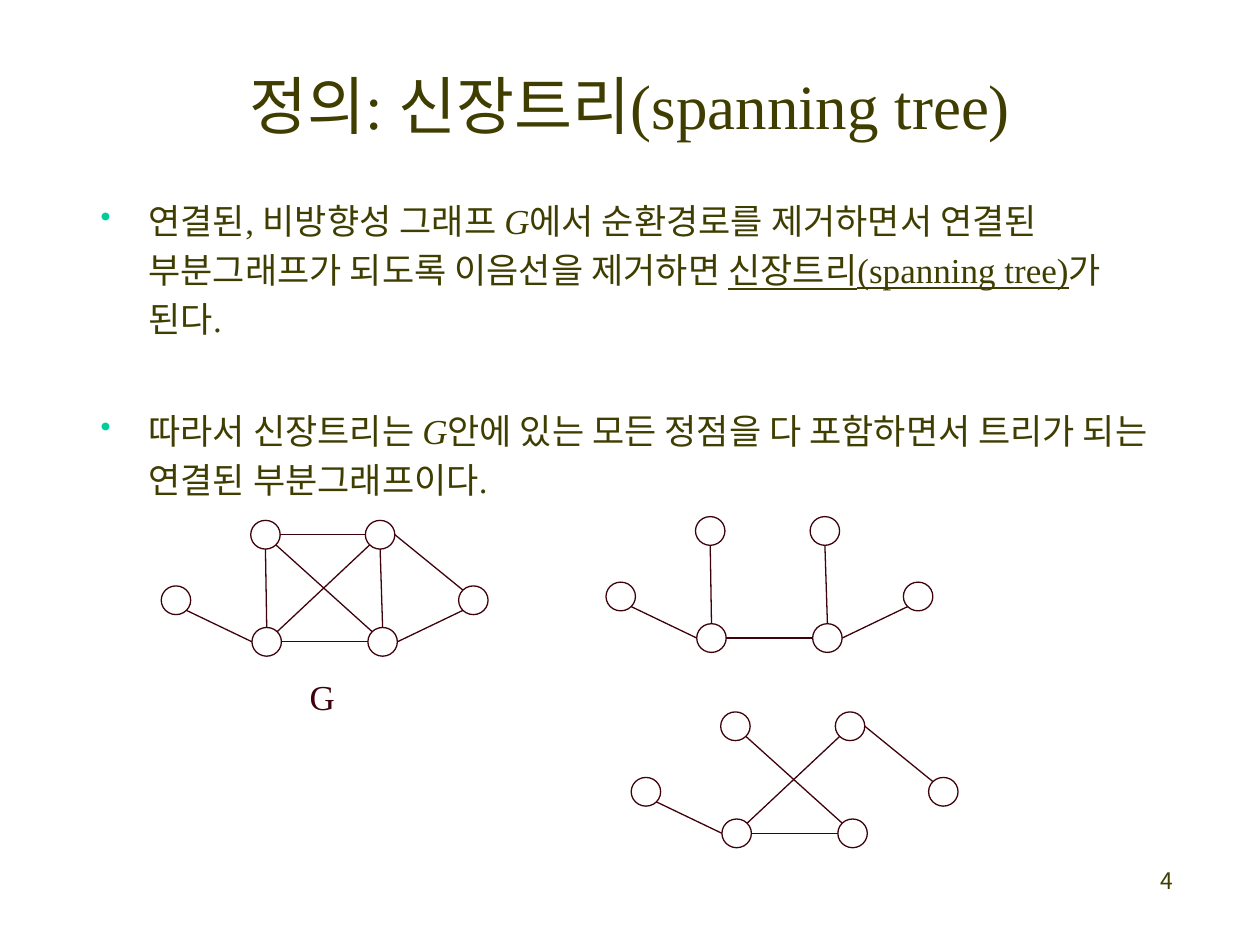
from typing import NamedTuple

from lxml.etree import SubElement
from pptx import Presentation
from pptx.dml.color import RGBColor
from pptx.enum.shapes import MSO_CONNECTOR as Link, MSO_SHAPE as Shape
from pptx.enum.text import MSO_ANCHOR as Anchor, MSO_AUTO_SIZE as Fit, PP_ALIGN as Align
from pptx.oxml.ns import qn
from pptx.util import Inches, Pt

OLIVE = RGBColor(0x3F, 0x3E, 0x00)
MAROON = RGBColor(0x3E, 0x02, 0x0C)
GREEN = RGBColor(0x00, 0xCC, 0x99)
SERIF, KOREAN = "Times New Roman", "Noto Sans CJK KR"

# The slide is a grid of 100 columns by 75 rows
CELL = Inches(0.1)
COLUMNS, ROWS = 100, 75
NODE_WIDTH, NODE_HEIGHT = 2.34, 2.28

# Node corners, in cells from the corner of a graph
NODES = {
    "left": (0, 5.2), "top left": (7.1, 0), "top right": (16.2, 0),
    "bottom left": (7.2, 8.5), "bottom right": (16.4, 8.5), "right": (23.6, 5.2),
}
# Points on a node's rim, as shares of its width and height
RIM = {
    "n": (0.5, 0), "ne": (0.85, 0.15), "e": (1, 0.5), "se": (0.85, 0.85),
    "s": (0.5, 1), "sw": (0.15, 0.85), "w": (0, 0.5), "nw": (0.15, 0.15),
}


class Edge(NamedTuple):
    start: str
    start_rim: str
    end: str
    end_rim: str


class Graph(NamedTuple):
    column: float
    row: float
    edges: list[Edge]


class Span(NamedTuple):
    text: str
    italic: bool = False
    underline: bool = False


LEFT_ARM = Edge("left", "se", "bottom left", "w")
RIGHT_ARM = Edge("right", "sw", "bottom right", "e")
SLOPE = Edge("top right", "e", "right", "nw")
TOP = Edge("top left", "e", "top right", "w")
BOTTOM = Edge("bottom left", "e", "bottom right", "w")
LEFT_SIDE = Edge("top left", "s", "bottom left", "n")
RIGHT_SIDE = Edge("top right", "s", "bottom right", "n")
FALLING = Edge("top left", "se", "bottom right", "nw")
RISING = Edge("bottom left", "ne", "top right", "sw")

GRAPHS = [
    Graph(12.8, 41.3, [LEFT_ARM, RIGHT_ARM, SLOPE, TOP, BOTTOM,
                       LEFT_SIDE, RIGHT_SIDE, FALLING, RISING]),
    Graph(48.1, 41, [LEFT_ARM, RIGHT_ARM, BOTTOM, LEFT_SIDE, RIGHT_SIDE]),
    Graph(50.1, 56.5, [LEFT_ARM, SLOPE, BOTTOM, FALLING, RISING]),
]
BODY = [
    [Span("연결된, 비방향성 그래프 "), Span("G", italic=True),
     Span("에서 순환경로를 제거하면서 연결된 부분그래프가 되도록 이음선을 제거하면 "),
     Span("신장트리(spanning tree)", underline=True), Span("가 된다.")],
    [Span("따라서 신장트리는 "), Span("G", italic=True),
     Span("안에 있는 모든 정점을 다 포함하면서 트리가 되는 연결된 부분그래프이다.")],
]


def cells(*counts: float) -> list[int]:
    return [round(count * CELL) for count in counts]


def style(run, size: float, color: RGBColor = OLIVE, name: str = SERIF) -> None:
    run.font.size, run.font.name = Pt(size), name
    run.font.color.rgb = color
    SubElement(run._r.get_or_add_rPr(), qn("a:ea"), typeface=KOREAN)


def add_bullet(para) -> None:
    props = para._p.get_or_add_pPr()
    props.set("marL", str(Inches(0.38)))
    props.set("indent", str(-Inches(0.38)))
    color = SubElement(props, qn("a:buClr"))
    SubElement(color, qn("a:srgbClr"), val=str(GREEN))
    SubElement(props, qn("a:buSzPct"), val="85000")
    SubElement(props, qn("a:buChar"), char="•")


def add_label(page, place: tuple, text: str):
    box = page.shapes.add_textbox(*cells(*place))
    box.text_frame.word_wrap = True
    box.text_frame.text = text
    return box


def rim_point(graph: Graph, node: str, rim: str) -> list[int]:
    (column, row), (across, down) = NODES[node], RIM[rim]
    return cells(graph.column + column + across * NODE_WIDTH,
                 graph.row + row + down * NODE_HEIGHT)


def draw_graph(page, graph: Graph) -> None:
    for edge in graph.edges:
        line = page.shapes.add_connector(
            Link.STRAIGHT, *rim_point(graph, edge.start, edge.start_rim),
            *rim_point(graph, edge.end, edge.end_rim))
        line.line.color.rgb, line.line.width = MAROON, Pt(0.75)
        SubElement(line._element.spPr, qn("a:effectLst"))
    for column, row in NODES.values():
        node = page.shapes.add_shape(Shape.OVAL, *cells(
            graph.column + column, graph.row + row, NODE_WIDTH, NODE_HEIGHT))
        node.shadow.inherit = False
        node.fill.background()
        node.line.color.rgb, node.line.width = MAROON, Pt(0.75)


def main() -> None:
    deck = Presentation()
    deck.slide_width, deck.slide_height = cells(COLUMNS, ROWS)
    page = deck.slides.add_slide(deck.slide_layouts[5])

    # Title
    title = page.shapes.title
    title.left, title.top, title.width, title.height = cells(7.5, 3.3, 85, 9.9)
    title.text_frame.text = "정의: 신장트리(spanning tree)"
    title.text_frame.vertical_anchor = Anchor.MIDDLE
    title.text_frame.paragraphs[0].alignment = Align.CENTER
    style(title.text_frame.paragraphs[0].runs[0], 36)

    # Definition
    frame = add_label(page, (7, 14.8, 85.8, 24.5), "").text_frame
    for number, spans in enumerate(BODY):
        para = frame.add_paragraph() if number else frame.paragraphs[0]
        para.line_spacing = Pt(28)
        para.space_before = Pt(36 if number else 4)
        add_bullet(para)
        for span in spans:
            run = para.add_run()
            run.text = span.text
            run.font.italic, run.font.underline = span.italic, span.underline
            style(run, 20)

    # Graph and two of its spanning trees
    for graph in GRAPHS:
        draw_graph(page, graph)
    name = add_label(page, (23.6, 53.5, 4, 4), "G").text_frame
    name.word_wrap, name.auto_size = False, Fit.SHAPE_TO_FIT_TEXT
    name.paragraphs[0].line_spacing = 0.9
    name.paragraphs[0].space_before = Pt(4)
    style(name.paragraphs[0].runs[0], 20, MAROON)

    # Page number
    para = add_label(page, (73.3, 68.3, 20.8, 5), "4").text_frame.paragraphs[0]
    para.alignment = Align.RIGHT
    style(para.runs[0], 13, name=KOREAN)

    deck.save("out.pptx")


if __name__ == "__main__":
    main()
